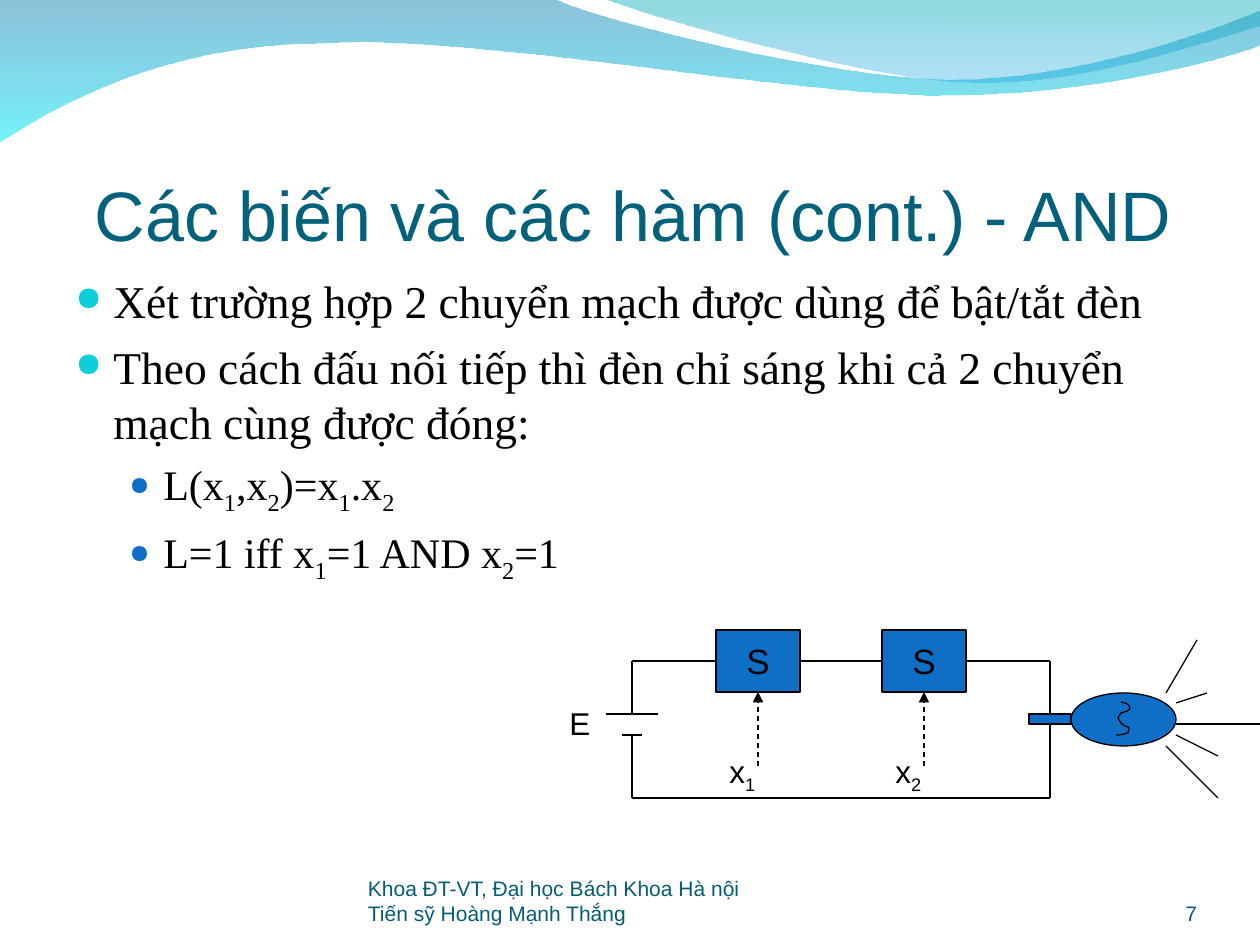
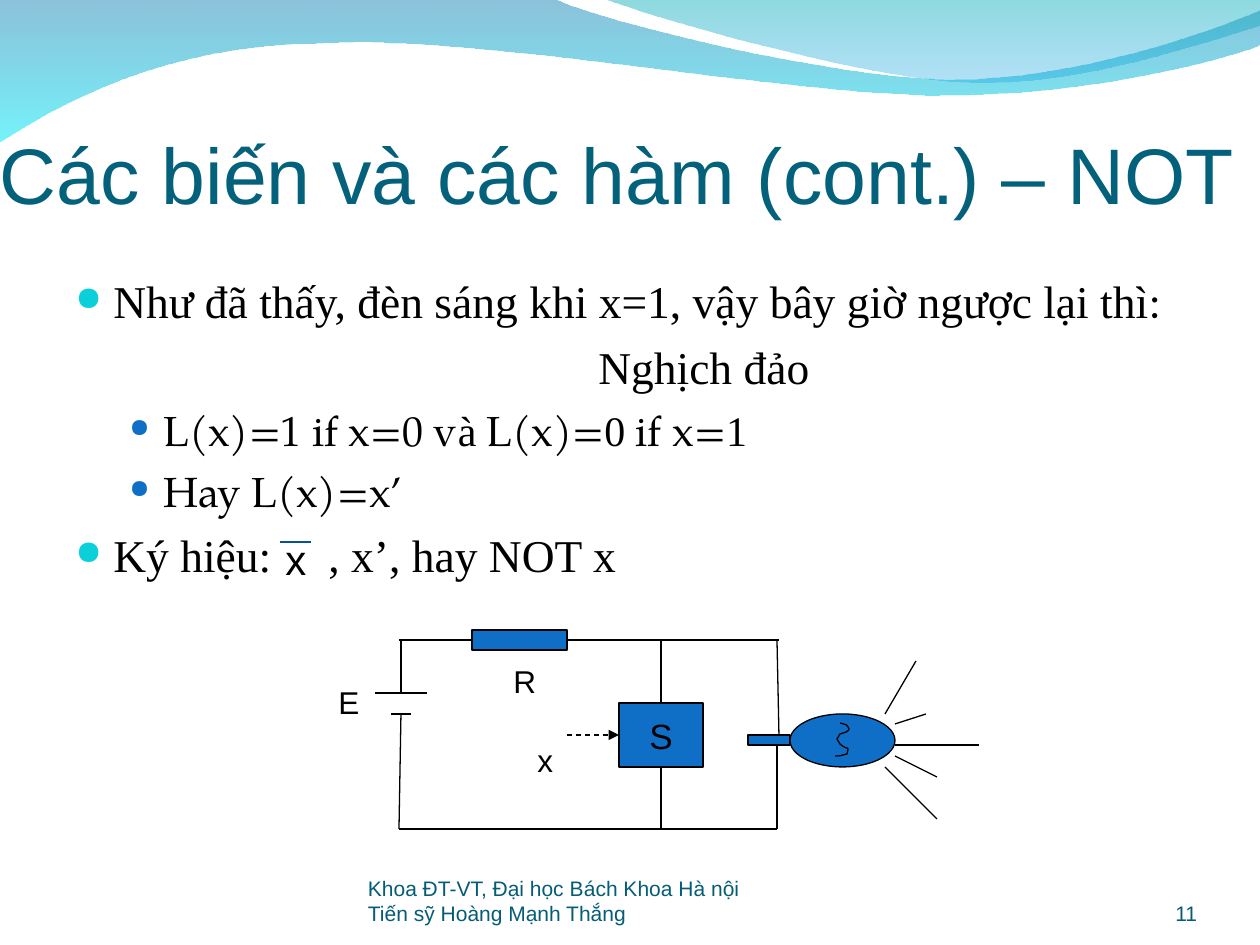
from lxml.etree import Element, SubElement
from pptx import Presentation
from pptx.dml.color import RGBColor
from pptx.enum.dml import MSO_LINE
from pptx.enum.shapes import MSO_CONNECTOR, MSO_SHAPE as SHAPE
from pptx.enum.text import MSO_ANCHOR as ANCHOR, MSO_AUTO_SIZE, PP_ALIGN as ALIGN
from pptx.oxml.ns import qn
from pptx.util import Pt

PX = 914400 / 126
W, H = 1260, 945

BLACK = RGBColor(0, 0, 0)
BLUE = RGBColor(0x0F, 0x6F, 0xC6)
CYAN = RGBColor(0x0B, 0xD0, 0xD9)
TITLE = RGBColor(0x04, 0x61, 0x7B)
FOOTER = RGBColor(0x04, 0x5C, 0x75)
OVERBAR = RGBColor(0x06, 0x50, 0x93)
SANS, SERIF, PAGELLA = "Arial", "Times New Roman", "TeX Gyre Pagella"

TONES = [
    (0x301, "áéóýấếốắ", "aeoyâêôă"),
    (0x300, "àèìùờ", "aeiuơ"),
    (0x309, "ảểỉ", "aêi"),
    (0x303, "ã", "a"),
    (0x323, "ạậợịệ", "aâơiê"),
]
TONE_MARKS = {ord(letter): base + chr(mark) for mark, letters, bases in TONES
              for letter, base in zip(letters, bases)}

WAVES = [
    ([(0, -1), (554, -1),
      (600, 21, 837, 79, 955, 79), (1075, 79, 1207, 33, 1260, 11), (1261, 45),
      (1239, 55, 1096, 96, 940, 95), (784, 95, 481, 35, 324, 43),
      (163, 44, 58, 105, -1, 142)],
     [(RGBColor(0x00, 0x79, 0xAF), 45), (RGBColor(0x00, 0xEB, 0xF8), 55)]),
    ([(604, -1), (641, 14, 859, 78, 969, 82), (1079, 87, 1211, 40, 1260, 26),
      (1260, 0)],
     [(RGBColor(0x00, 0xAD, 0xB6), 45), (RGBColor(0x00, 0x9B, 0xE5), 30)]),
]
FOOTER_LINES = ["Khoa ĐT-VT, Đại học Bách Khoa Hà nội", "Tiến sỹ Hoàng Mạnh Thắng"]

RAYS = [(147, 21, 189, 42), (137, 32, 189, 84), (147, 10, 231, 10),
        (147, -11, 178, -21), (137, -21, 168, -74)]
FILAMENT = [(92, -12), (95, -11, 99, -11, 100, -8), (104, -3, 94, -2, 92, -1),
            (91, 0, 90, 3, 89, 4), (90, 5, 91, 8, 92, 9),
            (101, 17, 101, 9, 99, 19), (90, 21, 94, 21, 87, 21)]

LEVELS = {
    "main": dict(size=26, before=6.5, left=38, hang=38, bullet=CYAN, percent=74),
    "sub": dict(size=24, before=6, left=88, hang=34, bullet=BLUE, percent=61),
    "answer": dict(size=26, before=6.5, left=523, hang=0),
}


def subscripts(text):
    first, *rest = text.split("_")
    runs = [first]
    for part in rest:
        runs += [(part[0], dict(baseline=-25000)), part[1:]]
    return [run for run in runs if run]


def pagella(text):
    return text, dict(font=PAGELLA)


SLIDES = [
    dict(
        number="7",
        title=("Các biến và các hàm (cont.) - AND", 95, 98, 1102, 40),
        body=[
            ("main", ["Xét trường hợp 2 chuyển mạch được dùng để bật/tắt đèn"]),
            ("main", ["Theo cách đấu nối tiếp thì đèn chỉ sáng khi cả 2 chuyển "
                      "mạch cùng được đóng:"]),
            ("sub", subscripts("L(x_1,x_2)=x_1.x_2")),
            ("sub", subscripts("L=1 iff x_1=1 AND x_2=1")),
        ],
        boxes=[("S", 716, 630, 84, 62), ("S", 882, 630, 84, 62)],
        lamp=(1029, 714),
        wires=[(632, 661, 716, 661), (800, 661, 882, 661), (966, 661, 1050, 661),
               (632, 661, 632, 714), (632, 735, 632, 798), (632, 798, 1050, 798),
               (1050, 661, 1050, 714), (1050, 798, 1050, 724)],
        battery=(632, 714),
        arrows=[(758, 766, 758, 692), (924, 766, 924, 692)],
        labels=[("E", 557, 698), ("x_1", 717, 746), ("x_2", 883, 746)],
    ),
    dict(
        number="11",
        title=("Các biến và các hàm (cont.) – NOT", 0, 63, 1260, 45),
        body=[
            ("main", ["Như đã thấy, đèn sáng khi x=1, vậy bây giờ ngược lại thì",
                      pagella(":")]),
            ("answer", ["Nghịch đảo"]),
            ("sub", [pagella("L(x)=1 if x=0 v"), "à ", pagella("L(x)="), "0",
                     pagella(" if x="), "1"]),
            ("sub", [pagella("Hay L(x)=x’")]),
            ("main", ["Ký hiệu:", (" ", dict(spc=2600)), ", x’, hay NOT x"]),
        ],
        boxes=[("S", 619, 703, 84, 64), ("", 472, 630, 95, 20)],
        lamp=(748, 735),
        wires=[(399, 640, 472, 640), (567, 640, 779, 640), (401, 640, 401, 693),
               (401, 714, 399, 829), (399, 829, 777, 829), (777, 640, 779, 735),
               (777, 746, 777, 829), (661, 640, 661, 703), (661, 767, 661, 829)],
        battery=(401, 693),
        arrows=[(567, 735, 619, 735)],
        labels=[("E", 326, 677), ("R", 501, 656), ("x", 525, 735)],
        overbar=("x", 273, 527),
    ),
]


def px(*values):
    return [round(v * PX) for v in values]


def add_runs(p, runs, size, font, color, marks, kern):
    for run in runs:
        text, extra = run if isinstance(run, tuple) else (run, {})
        r = p.add_run()
        r.text = text.translate(marks)
        r.font.size = Pt(size)
        r.font.name = extra.get("font", font)
        r.font.color.rgb = color
        rPr = r._r.get_or_add_rPr()
        if kern:
            rPr.set("kern", "1200")
        for name in ("baseline", "spc"):
            if name in extra:
                rPr.set(name, str(extra[name]))


def write(tf, paragraphs, size=18, font=SANS, color=BLACK, align=ALIGN.LEFT,
          anchor=ANCHOR.TOP, wrap=True, margins=None, marks={}, kern=False):
    tf.word_wrap = wrap
    tf.vertical_anchor = anchor
    if margins:
        tf.margin_left, tf.margin_top, tf.margin_right, tf.margin_bottom = px(*margins)
    for i, runs in enumerate(paragraphs):
        p = tf.paragraphs[0] if i == 0 else tf.add_paragraph()
        p.alignment = align
        run_size = size
        if isinstance(runs, tuple):
            level, runs = runs
            run_size = LEVELS[level]["size"]
            set_level(p, i, **LEVELS[level])
        add_runs(p, runs, run_size, font, color, marks, kern)


def set_level(p, index, size, before, left, hang, bullet=None, percent=100):
    if index:
        p.space_before = Pt(before)
    pPr = p._p.get_or_add_pPr()
    pPr.set("marL", str(px(left)[0]))
    pPr.set("indent", str(px(-hang)[0]))
    if bullet is None:
        SubElement(pPr, qn("a:buNone"))
        return
    SubElement(SubElement(pPr, qn("a:buClr")), qn("a:srgbClr"), val=str(bullet))
    SubElement(pPr, qn("a:buSzPct"), val=str(percent * 1000))
    SubElement(pPr, qn("a:buChar"), char="●")


def add_text(s, x, y, w, h, paragraphs, **fmt):
    tf = s.shapes.add_textbox(*px(x, y, w, h)).text_frame
    write(tf, paragraphs, **fmt)
    if not tf.word_wrap:
        tf.auto_size = MSO_AUTO_SIZE.SHAPE_TO_FIT_TEXT


def add_filled(s, kind, x, y, w, h):
    sp = s.shapes.add_shape(kind, *px(x, y, w, h))
    sp.shadow.inherit = False
    sp.fill.solid()
    sp.fill.fore_color.rgb = BLUE
    sp.line.color.rgb = BLACK
    sp.line.width = Pt(0.75)
    return sp


def add_curve(s, segments, close):
    points = [px(*seg[i:i + 2]) for seg in segments for i in range(0, len(seg), 2)]
    builder = s.shapes.build_freeform(*points[0], scale=1.0)
    builder.add_line_segments(points[1:], close=close)
    sp = builder.convert_to_shape()
    sp.shadow.inherit = False
    lines = iter(list(sp._element.spPr.iter(qn("a:lnTo"))))
    for seg in segments[1:]:
        first = next(lines)
        if len(seg) == 6:
            curve = Element(qn("a:cubicBezTo"))
            first.addprevious(curve)
            for line in (first, next(lines), next(lines)):
                curve.append(line[0])
                line.getparent().remove(line)
    return sp


def add_wave(s, outline, stops):
    sp = add_curve(s, outline, True)
    sp.line.fill.background()
    sp.fill.gradient()
    sp.fill.gradient_angle = 270
    for stop, (color, _) in zip(sp.fill.gradient_stops, stops):
        stop.color.rgb = color
    for clr, (_, alpha) in zip(sp._element.spPr.iter(qn("a:srgbClr")), stops):
        SubElement(clr, qn("a:alpha"), val=str(alpha * 1000))


def find_side(rects, x, y):
    for sp in rects:
        left, top, w, h = (v / PX for v in (sp.left, sp.top, sp.width, sp.height))
        sides = [(left + w / 2, top), (left, top + h / 2),
                 (left + w / 2, top + h), (left + w, top + h / 2)]
        for site, (sx, sy) in enumerate(sides):
            if abs(sx - x) < 0.1 and abs(sy - y) < 0.1:
                return sp, site
    return None


def add_wire(s, x1, y1, x2, y2, rects=(), color=BLACK, width=0.75, arrow=False):
    c = s.shapes.add_connector(MSO_CONNECTOR.STRAIGHT, *px(x1, y1, x2, y2))
    c.line.color.rgb = color
    c.line.width = Pt(width)
    start, end = find_side(rects, x1, y1), find_side(rects, x2, y2)
    if start:
        c.begin_connect(*start)
    if end:
        c.end_connect(*end)
    if arrow:
        c.line.dash_style = MSO_LINE.DASH
        SubElement(c.line._get_or_add_ln(), qn("a:tailEnd"), type="triangle")
    SubElement(c._element.spPr, qn("a:effectLst"))


def add_lamp(s, x, y):
    stem = add_filled(s, SHAPE.RECTANGLE, x, y, 42, 10)
    add_filled(s, SHAPE.OVAL, x + 42, y - 21, 105, 53)
    for x1, y1, x2, y2 in RAYS:
        add_wire(s, x + x1, y + y1, x + x2, y + y2)
    filament = [tuple(v + (x, y)[i % 2] for i, v in enumerate(seg))
                for seg in FILAMENT]
    sp = add_curve(s, filament, False)
    sp.fill.background()
    sp.line.color.rgb = BLACK
    sp.line.width = Pt(0.75)
    return stem


def add_circuit(s, data):
    rects = []
    for label, *place in data["boxes"]:
        sp = add_filled(s, SHAPE.RECTANGLE, *place)
        if label:
            write(sp.text_frame, [[label]], size=20, align=ALIGN.CENTER,
                  anchor=ANCHOR.MIDDLE, wrap=False)
        rects.append(sp)
    rects.append(add_lamp(s, *data["lamp"]))
    for wire in data["wires"]:
        add_wire(s, *wire, rects=rects)
    for arrow in data["arrows"]:
        add_wire(s, *arrow, rects=rects, arrow=True)
    x, y = data["battery"]
    for half, drop in ((26, 0), (10, 21)):
        add_wire(s, x - half, y + drop, x + half, y + drop, width=1.5)
    for label, x, y in data["labels"]:
        width = 52 if "_" in label else 46
        add_text(s, x, y, width, 50, [subscripts(label)], wrap=False)


def add_slide(prs, data):
    s = prs.slides.add_slide(prs.slide_layouts[6])
    for wave in WAVES:
        add_wave(s, *wave)
    title, x, y, w, size = data["title"]
    add_text(s, x, y, w, 157, [[title]], size=size, color=TITLE, kern=True,
             anchor=ANCHOR.BOTTOM, margins=(0, 6, 0, 0), marks=TONE_MARKS)
    add_text(s, 63, 267, 1134, 605, data["body"], font=SERIF, marks=TONE_MARKS)
    add_circuit(s, data)
    if "overbar" in data:
        label, x, y = data["overbar"]
        add_text(s, x, y, 45, 63, [[label]], size=24, wrap=False)
        add_wire(s, x + 7, 542, x + 38, 542, color=OVERBAR)
    footer = dict(size=12, color=FOOTER, anchor=ANCHOR.BOTTOM, margins=(0, 0, 0, 0))
    add_text(s, 1092, 876, 105, 50, [[data["number"]]], align=ALIGN.RIGHT, **footer)
    add_text(s, 368, 876, 462, 50, [[line] for line in FOOTER_LINES], **footer)


def main():
    prs = Presentation()
    prs.slide_width, prs.slide_height = px(W, H)
    for data in SLIDES:
        add_slide(prs, data)
    prs.save("out.pptx")


if __name__ == "__main__":
    main()
